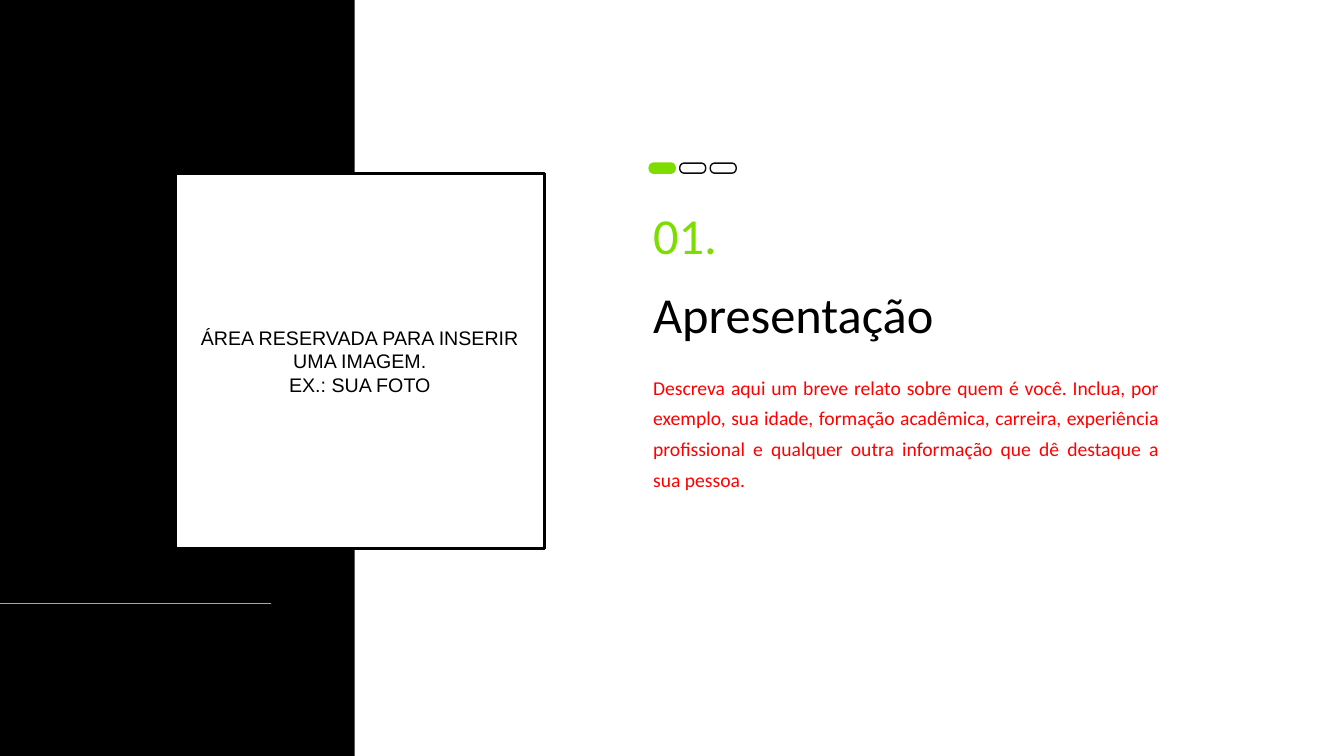
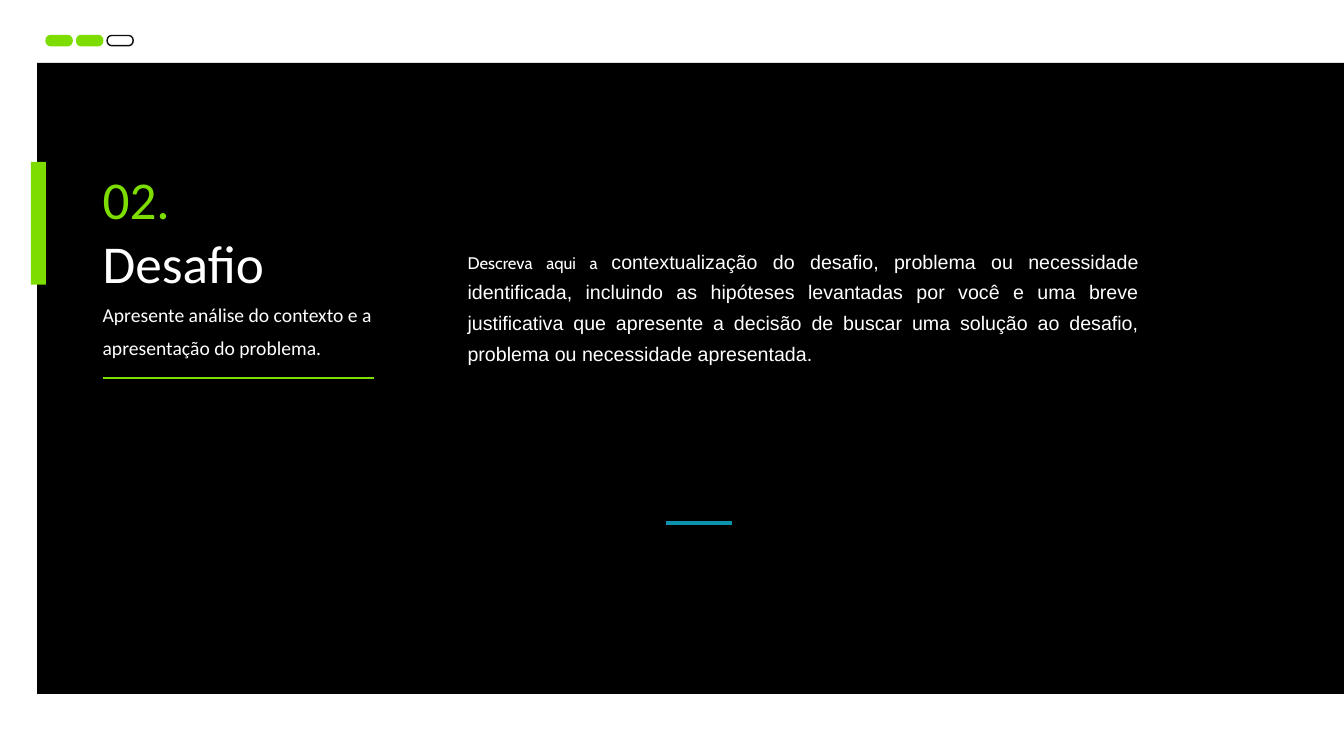
"""Builds two section slides of a project pitch: Apresentação and Desafio."""
import dataclasses

import lxml.etree
import pptx
import pptx.dml.color
import pptx.enum.shapes
import pptx.enum.text
import pptx.oxml.ns
import pptx.util

Pt = pptx.util.Pt
RGB = pptx.dml.color.RGBColor.from_string
SHAPE = pptx.enum.shapes.MSO_SHAPE
ALIGN = pptx.enum.text.PP_ALIGN


@dataclasses.dataclass(frozen=True)
class Theme:
    """Colours, fonts and type sizes."""
    black: str = "000000"
    white: str = "FFFFFF"
    green: str = "7DDD00"
    red: str = "FF0000"
    teal: str = "0C92AA"
    outline: str = "0C0C0C"
    heading_font: str = "Calibri"
    body_font: str = "Arial"
    lead_font: str = "Cabin"
    title: int = 36
    large_title: int = 38
    body: int = 14
    lead: int = 12


theme = Theme()


def add_block(slide, kind, left, top, width, height, fill=None, line=None, line_width=1):
    block = slide.shapes.add_shape(kind, Pt(left), Pt(top), Pt(width), Pt(height))
    block.shadow.inherit = False
    if fill:
        block.fill.solid()
        block.fill.fore_color.rgb = RGB(fill)
    else:
        block.fill.background()
    if line:
        block.line.color.rgb = RGB(line)
        block.line.width = Pt(line_width)
    else:
        block.line.fill.background()
    return block


def write_text(frame, paragraphs):
    frame.word_wrap = True
    for index, (alignment, spacing, runs) in enumerate(paragraphs):
        paragraph = frame.add_paragraph() if index else frame.paragraphs[0]
        paragraph.alignment = alignment
        paragraph.line_spacing = spacing
        for wording, size, font, color in runs:
            run = paragraph.add_run()
            run.text = wording
            run.font.size = Pt(size)
            run.font.name = font
            run.font.color.rgb = RGB(color)


deck = pptx.Presentation()
deck.slide_width, deck.slide_height = Pt(960), Pt(540)
blank = deck.slide_layouts[6]
presentation = deck.slides.add_slide(blank)
challenge = deck.slides.add_slide(blank)

add_block(presentation, SHAPE.RECTANGLE, 0, 0, 253.4, 540, theme.black)
photo_area = add_block(presentation, SHAPE.RECTANGLE, 125.3, 123.8, 263.5, 267.8,
                       theme.white, theme.black, 2)
photo_area.text_frame.vertical_anchor = pptx.enum.text.MSO_ANCHOR.MIDDLE
write_text(photo_area.text_frame, [
    (ALIGN.CENTER, 1.0, [(wording, theme.body, theme.body_font, theme.black)])
    for wording in ("ÁREA RESERVADA PARA INSERIR UMA IMAGEM.", "EX.: SUA FOTO")
])

add_block(challenge, SHAPE.RECTANGLE, 26.6, 45, 933.4, 450.7, theme.black)
add_block(challenge, SHAPE.RECTANGLE, 22, 115.6, 10.8, 87.8, theme.green)

texts = [
    (presentation, 459.4, 129.6, 331.2, 121, [
        (ALIGN.LEFT, 1.3, [("01.", theme.title, theme.heading_font, theme.green)]),
        (ALIGN.LEFT, 1.3, [("Apresentação", theme.title, theme.heading_font, theme.black)]),
    ]),
    (presentation, 459.4, 259.9, 375.8, 95.8, [
        (ALIGN.JUSTIFY, 1.3, [(
            "Descreva aqui um breve relato sobre quem é você. Inclua, por exemplo, sua idade, "
            "formação acadêmica, carreira, experiência profissional e qualquer outra informação "
            "que dê destaque a sua pessoa.", theme.body, theme.heading_font, theme.red)]),
    ]),
    (challenge, 66.2, 115.2, 267.1, 164.2, [
        (ALIGN.LEFT, 1.0, [("02.", theme.large_title, theme.heading_font, theme.green)]),
        (ALIGN.LEFT, 1.0, [("Desafio", theme.large_title, theme.heading_font, theme.white)]),
        (ALIGN.LEFT, 1.4, [("Apresente análise do contexto e a apresentação do problema.",
                            theme.body, theme.heading_font, theme.white)]),
    ]),
    (challenge, 326.9, 169.9, 493.9, 95.8, [
        (ALIGN.JUSTIFY, 1.3, [
            ("Descreva aqui a ", theme.lead, theme.lead_font, theme.white),
            ("contextualização do desafio, problema ou necessidade identificada, incluindo as "
             "hipóteses levantadas por você e uma breve justificativa que apresente a decisão de "
             "buscar uma solução ao desafio, problema ou necessidade apresentada.",
             theme.body, theme.body_font, theme.white)]),
    ]),
]
for slide, left, top, width, height, paragraphs in texts:
    textbox = slide.shapes.add_textbox(Pt(left), Pt(top), Pt(width), Pt(height))
    write_text(textbox.text_frame, paragraphs)
    textbox.text_frame.auto_size = pptx.enum.text.MSO_AUTO_SIZE.SHAPE_TO_FIT_TEXT

progress_markers = [(presentation, 463.7, 116.5, 1), (challenge, 32.9, 25.4, 2)]
for slide, left, top, reached in progress_markers:
    for step in range(3):
        done = step < reached
        add_block(slide, SHAPE.FLOWCHART_TERMINATOR, left + 21.8 * step, top, 18.7, 7.2,
                  theme.green if done else None, theme.green if done else theme.outline)

rules = [
    (presentation, 0, 193.7, 431.3, theme.green, 0.75),
    (challenge, 475.9, 522.7, 373.7, theme.teal, 3),
    (challenge, 73.4, 267.1, 270, theme.green, 0.75),
]
for slide, start, end, height, color, weight in rules:
    rule = slide.shapes.add_connector(pptx.enum.shapes.MSO_CONNECTOR.STRAIGHT,
                                      Pt(start), Pt(height), Pt(end), Pt(height))
    rule.line.color.rgb = RGB(color)
    rule.line.width = Pt(weight)
    lxml.etree.SubElement(rule._element.spPr, pptx.oxml.ns.qn("a:effectLst"))

deck.save("out.pptx")
